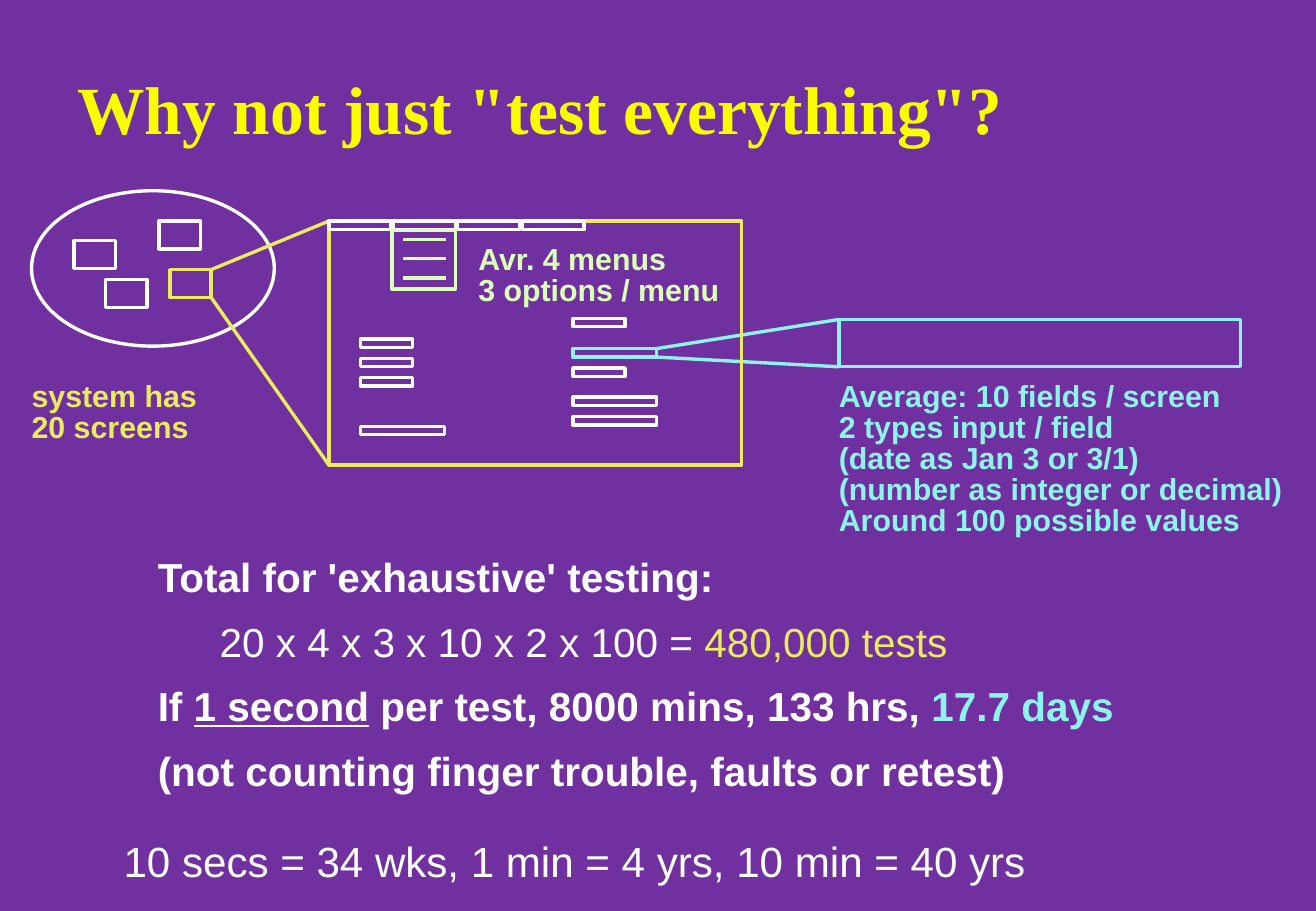
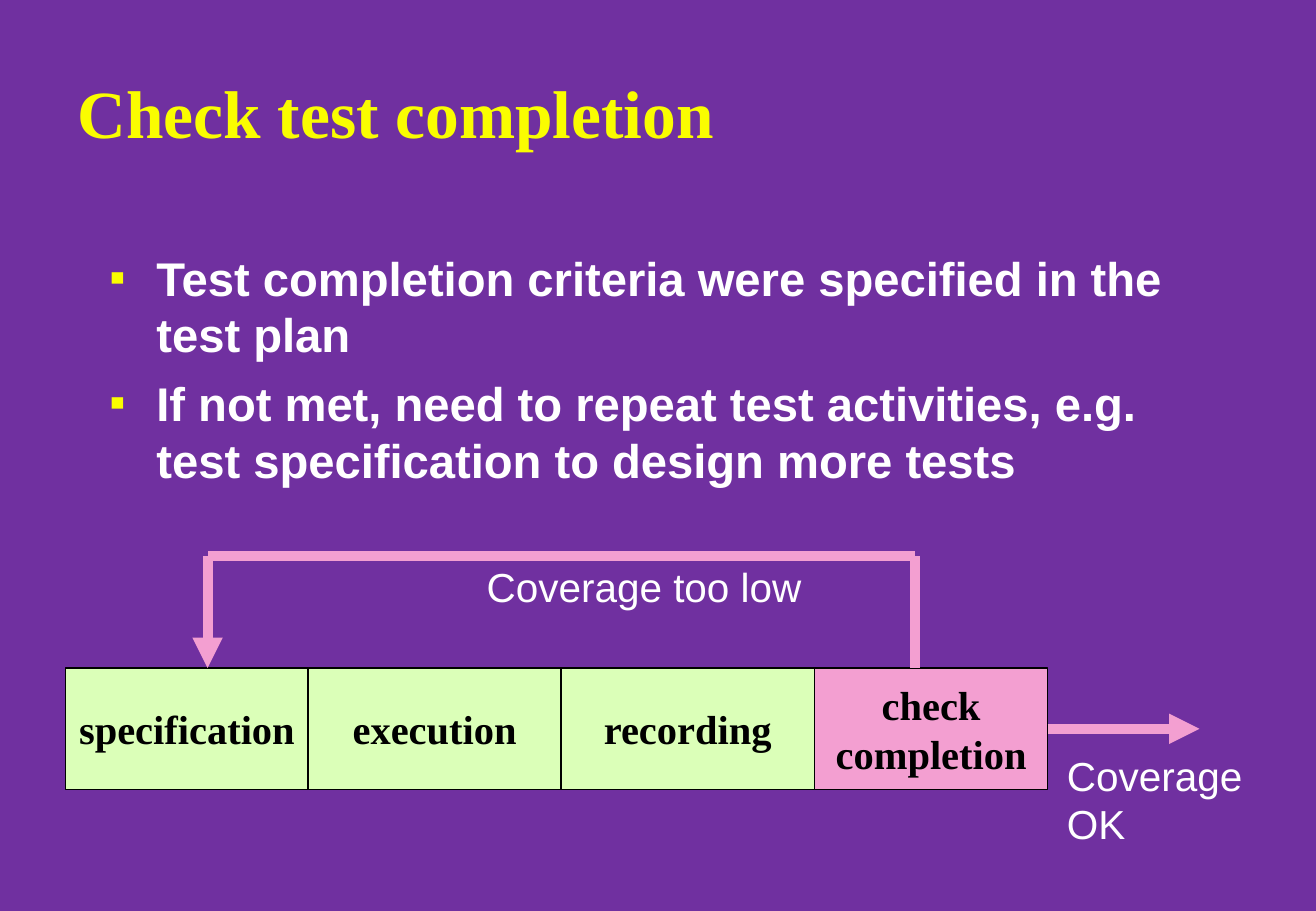
from dataclasses import dataclass, replace
from itertools import accumulate
from typing import NamedTuple

from lxml.etree import SubElement as Sub
from pptx import Presentation
from pptx.dml.color import RGBColor as Color
from pptx.enum.shapes import MSO_CONNECTOR as Link, MSO_SHAPE as Geo
from pptx.enum.text import MSO_ANCHOR as Anchor, PP_ALIGN as Align
from pptx.oxml.ns import qn
from pptx.util import Inches, Pt


@dataclass(frozen=True)
class Style:
    """Look of a run of text."""
    size: int
    color: str
    bold: bool = False
    font: str = "Arial"
    under: bool = False


@dataclass(frozen=True)
class Theme:
    """Colours and type sizes of the deck."""
    back: str = "7030A0"
    white: str = "FFFFFF"
    black: str = "000000"
    gold: str = "FAFD00"
    yellow: str = "EAEC5E"
    cyan: str = "8CF4EA"
    lime: str = "DBFFB8"
    pink: str = "F39FD1"
    thin: int = 1
    line: int = 2
    thick: int = 6
    title: Style = Style(40, "FAFD00", True, "Times New Roman")
    step: Style = Style(24, "000000", True, "Times New Roman")
    label: Style = Style(18, "FFFFFF", True)
    point: Style = Style(28, "FFFFFF", True)
    total: Style = Style(24, "FFFFFF", True)
    plain: Style = Style(24, "FFFFFF")
    foot: Style = Style(25, "FFFFFF")


T = Theme()
WIDE = (0.1, 0.05)
TIGHT = (0.07, 0.03)


class Box(NamedTuple):
    """A rectangle in inches."""
    x: float
    y: float
    w: float
    h: float

    def inner(self, x, y, w, h):
        """Return a box placed from this box's top left corner."""
        return Box(self.x + x, self.y + y, w, h)

    def spot(self, x, y):
        """Return a point placed from this box's top left corner."""
        return self.x + x, self.y + y


def write(body, paras, inset=WIDE, space=None, before=None):
    """Fill a text frame with paragraphs of (text, style) runs."""
    body.margin_left = body.margin_right = Inches(inset[0])
    body.margin_top = body.margin_bottom = Inches(inset[1])
    for i, runs in enumerate(paras):
        para = body.paragraphs[0] if i == 0 else body.add_paragraph()
        if space:
            para.line_spacing = space
        if before:
            para.space_before = Pt(before)
        for text, style in runs:
            run = para.add_run()
            run.text = text
            font = run.font
            font.name, font.size = style.font, Pt(style.size)
            font.bold, font.underline = style.bold, style.under
            font.color.rgb = Color.from_string(style.color)
    return body


def lines(style, *texts):
    """Make one paragraph of one run for each text."""
    return [[(text, style)] for text in texts]


def note(shapes, box, paras, **look):
    """Add a wrapped text box."""
    body = shapes.add_textbox(*map(Inches, box)).text_frame
    body.word_wrap = True
    return write(body, paras, **look)


def frame(shapes, box, color, fill=None, width=T.line, geo=Geo.RECTANGLE):
    """Add an outlined shape, hollow unless a fill is given."""
    shape = shapes.add_shape(geo, *map(Inches, box))
    shape.shadow.inherit = False
    shape.line.color.rgb = Color.from_string(color)
    shape.line.width = Pt(width)
    if fill:
        shape.fill.solid()
        shape.fill.fore_color.rgb = Color.from_string(fill)
    else:
        shape.fill.background()
    return shape


def rule(shapes, start, end, color, width=T.line, arrow=False):
    """Add a straight line, with an arrowhead at its end if asked."""
    link = shapes.add_connector(Link.STRAIGHT, *map(Inches, start + end))
    link.line.color.rgb = Color.from_string(color)
    link.line.width = Pt(width)
    if arrow:
        Sub(link.line._get_or_add_ln(), qn("a:tailEnd"), type="triangle")
    Sub(link._element.spPr, qn("a:effectLst"))
    return link


def zoom(shapes, small, large, color):
    """Join the right corners of one box to the left corners of another."""
    for near, far in ((0, 0), (small.h, large.h)):
        rule(shapes, small.spot(small.w, near), large.spot(0, far), color)


def group(slide):
    """Add a group and return its shapes."""
    return slide.shapes.add_group_shape().shapes


def head(deck, text, space=None):
    """Add a blank slide with its title."""
    slide = deck.slides.add_slide(deck.slide_layouts[6])
    body = note(slide.shapes, Box(0.54, 0.58, 9.21, 0.67),
                lines(T.title, text), space=space)
    body.vertical_anchor = Anchor.MIDDLE
    return slide


def system(slide, box, pick):
    """Draw the system as an oval of screens with one picked out."""
    shapes = group(slide)
    for x, y in ((0.35, 0.41), (0.61, 0.73), (1.05, 0.25)):
        frame(shapes, box.inner(x, y, pick.w, pick.h), T.white)
    frame(shapes, pick, T.yellow)
    frame(shapes, box, T.white, geo=Geo.OVAL)
    note(shapes, box.inner(-0.07, 1.55, 1.6, 0.57),
         lines(replace(T.label, color=T.yellow), "system has", "20 screens"),
         inset=TIGHT, space=0.85)


def field(slide, box, pick):
    """Draw the enlarged field with its facts below."""
    shapes = group(slide)
    frame(shapes, box, T.cyan)
    zoom(shapes, pick, box, T.cyan)
    note(shapes, box.inner(-0.07, 0.49, 3.9, 1.33),
         lines(replace(T.label, color=T.cyan),
               "Average: 10 fields / screen", "2 types input / field",
               "(date as Jan 3 or 3/1)", "(number as integer or decimal)",
               "Around 100 possible values"),
         inset=TIGHT, space=0.85)


def window(slide, box, source, pick):
    """Draw the enlarged screen with its menus and fields."""
    shapes = group(slide)
    zoom(shapes, source, box, T.yellow)
    frame(shapes, box, T.yellow)
    high = pick.h
    for i in range(4):
        frame(shapes, box.inner(0.53 * i, 0, 0.51, high), T.white)
    frame(shapes, box.inner(0.52, 0.08, 0.52, 0.48), T.lime)
    for i in range(3):
        y = 0.15 + 0.16 * i
        rule(shapes, box.spot(0.61, y), box.spot(0.96, y), T.lime)
    bars = ((0.26, 0.43, (0.97, 1.13, 1.29)), (2.01, 0.43, (0.8, 1.21)),
            (0.26, pick.w, (1.69,)), (2.01, pick.w, (1.45, 1.61)))
    for x, wide, tops in bars:
        for y in tops:
            frame(shapes, box.inner(x, y, wide, high), T.white)
    frame(shapes, pick, T.cyan)
    note(shapes, box.inner(1.16, 0.17, 2.2, 0.57),
         lines(replace(T.label, color=T.lime),
               "Avr. 4 menus", "3 options / menu"),
         inset=TIGHT, space=0.85)


def total(slide, box):
    """Write the sums for exhaustive testing."""
    bold, plain = T.total, T.plain
    body = note(slide.shapes, box, [
        [("Total for 'exhaustive' testing:", bold)],
        [("20 x 4 x 3 x 10 x 2 x 100 = ", plain),
         ("480,000 tests", replace(plain, color=T.yellow))],
        [("If ", bold), ("1 second", replace(bold, under=True)),
         (" per test, 8000 mins, 133 hrs, ", bold),
         ("17.7 days", replace(bold, color=T.cyan))],
        [("(not counting finger trouble, faults or retest)", bold)],
    ], inset=TIGHT, space=0.88, before=12.9)
    body.paragraphs[1]._p.get_or_add_pPr().set("marL", str(Inches(0.51)))


def points(slide, box, *texts):
    """Write a list with square bullets."""
    body = note(slide.shapes, box, lines(T.point, *texts), before=7)
    for para in body.paragraphs:
        props = para._p.get_or_add_pPr()
        props.set("marL", str(Inches(0.38)))
        props.set("indent", str(-Inches(0.38)))
        Sub(Sub(props, qn("a:buClr")), qn("a:srgbClr"), val=T.gold)
        Sub(props, qn("a:buSzPct"), val="50000")
        Sub(props, qn("a:buFont"), typeface="Arial")
        Sub(props, qn("a:buChar"), char="■")


def steps(slide, box):
    """Draw the row of steps and return the last one."""
    names = (("specification",), ("execution",), ("recording",),
             ("check", "completion"))
    widths = (2, 2.08, 2.09, 1.92)
    fills = (T.lime,) * 3 + (T.pink,)
    lefts = accumulate(widths, initial=0)
    for words, x, wide, fill in zip(names, lefts, widths, fills):
        step = frame(slide.shapes, box.inner(x, 0, wide, box.h),
                     T.black, fill, T.thin)
        body = write(step.text_frame, lines(T.step, *words))
        body.word_wrap = False
        body.vertical_anchor = Anchor.MIDDLE
        for para in body.paragraphs:
            para.alignment = Align.CENTER
    return step


def routes(slide, box, last):
    """Draw the way back and the way out of the row of steps."""
    shapes = slide.shapes
    turns = [box.spot(*at) for at in
             ((7, 0), (7, -0.92), (1.17, -0.92), (1.17, 0))]
    for i, (start, end) in enumerate(zip(turns, turns[1:])):
        rule(shapes, start, end, T.pink, T.thick, arrow=i == 2)
    note(shapes, box.inner(3.37, -0.92, 2.9, 0.5),
         lines(T.plain, "Coverage too low"))
    out = rule(shapes, box.spot(box.w, 0.5), box.spot(9.34, 0.5),
               T.pink, T.thick, arrow=True)
    out.begin_connect(last, 3)
    note(shapes, box.inner(8.15, 0.63, 1.7, 0.9),
         lines(T.plain, "Coverage", "OK"))


def effort(deck):
    """Build the slide on testing everything."""
    slide = head(deck, 'Why not just "test everything"?', 0.98)
    oval = Box(0.26, 1.57, 2, 1.28)
    screen = oval.inner(1.14, 0.65, 0.34, 0.23)
    view = Box(2.71, 1.82, 3.4, 2.01)
    entry = view.inner(2.01, 1.05, 0.69, 0.07)
    system(slide, oval, screen)
    field(slide, Box(6.91, 2.63, 3.31, 0.39), entry)
    total(slide, Box(1.23, 4.57, 9.6, 2))
    window(slide, view, screen, entry)
    note(slide.shapes, Box(0.92, 6.83, 7.8, 0.52),
         lines(T.foot, "10 secs = 34 wks, 1 min = 4 yrs, 10 min = 40 yrs"))


def finish(deck):
    """Build the slide on test completion."""
    slide = head(deck, "Check test completion")
    points(slide, Box(0.81, 2, 9.21, 2.3),
           "Test completion criteria were specified in the test plan",
           "If not met, need to repeat test activities, e.g. "
           "test specification to design more tests")
    row = Box(0.54, 5.5, 8.09, 1)
    routes(slide, row, steps(slide, row))


def main():
    """Build and save the deck."""
    deck = Presentation()
    deck.slide_width, deck.slide_height = Inches(10.84), Inches(7.5)
    fill = deck.slide_master.background.fill
    fill.solid()
    fill.fore_color.rgb = Color.from_string(T.back)
    effort(deck)
    finish(deck)
    deck.save("out.pptx")


if __name__ == "__main__":
    main()
